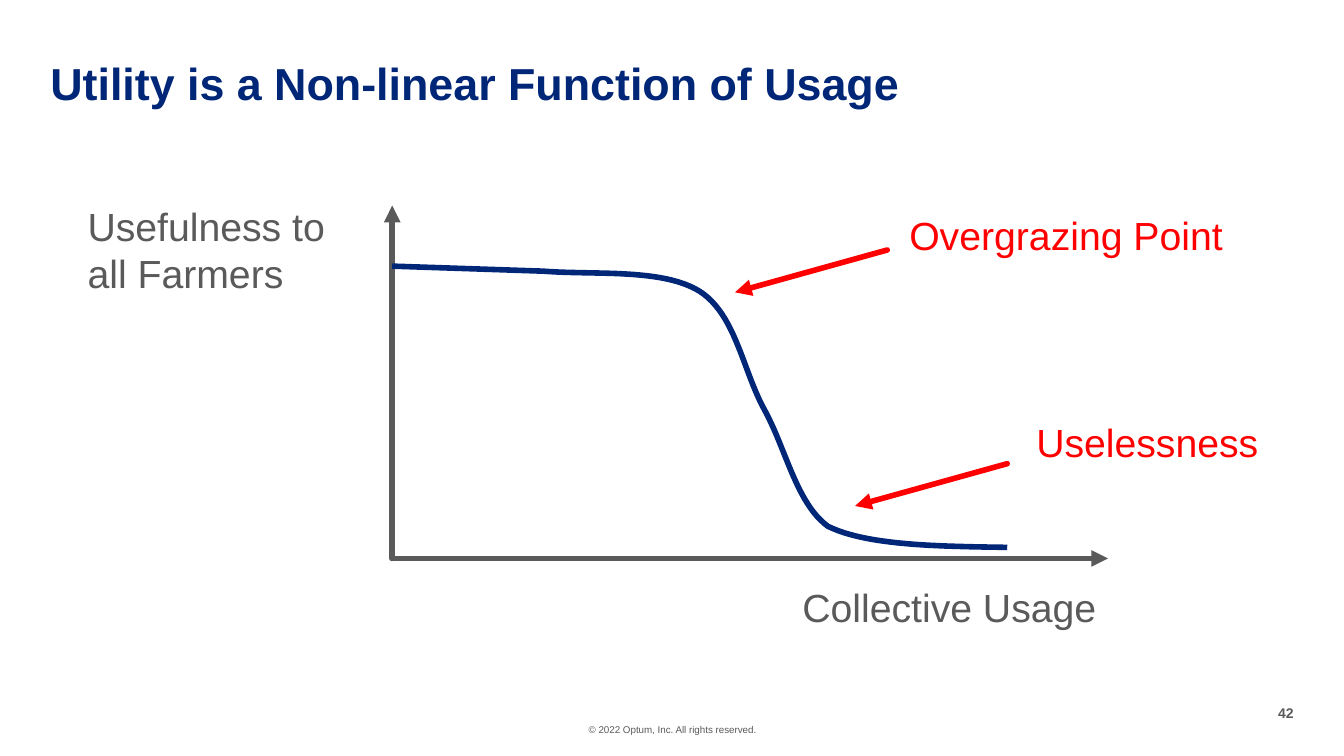
from dataclasses import dataclass

import lxml.etree
import pptx
import pptx.dml.color
import pptx.enum.shapes
import pptx.enum.text
import pptx.oxml.ns
import pptx.shapes.connector
import pptx.slide
import pptx.util

Inches = pptx.util.Inches
Align = pptx.enum.text.PP_ALIGN
Point = tuple[float, float]
qn = pptx.oxml.ns.qn


@dataclass(frozen=True)
class Theme:
    font: str = "Arial"
    navy: str = "002677"
    gray: str = "5A5A5A"
    red: str = "FF0000"
    title_size: float = 32
    label_size: float = 28
    number_size: float = 10
    copyright_size: float = 7
    stroke: float = 4


THEME = Theme()


@dataclass(frozen=True)
class Label:
    lines: tuple[str, ...]
    left: float
    top: float
    width: float
    height: float
    color: str = THEME.gray
    size: float = THEME.label_size
    bold: bool = False
    wrap: bool = False
    padded: bool = True
    align: Align = Align.LEFT
    spacing: float = 1.0


@dataclass(frozen=True)
class Arrow:
    start: Point
    end: Point
    color: str


@dataclass(frozen=True)
class Bend:
    leave: Point
    arrive: Point
    end: Point


LABELS = (
    Label(("© 2022 Optum, Inc. All rights reserved.",), 5.14, 7.18, 3.06, 0.12,
          size=THEME.copyright_size, wrap=True, padded=False, align=Align.CENTER),
    Label(("42",), 12.66, 6.99, 0.17, 0.17, size=THEME.number_size,
          bold=True, padded=False, align=Align.RIGHT),
    Label(("Utility is a Non-linear Function of Usage",), 0.5, 0.61, 10.5, 0.48,
          color=THEME.navy, size=THEME.title_size, bold=True, wrap=True,
          padded=False, spacing=0.9),
    Label(("Usefulness to", "all Farmers"), 0.77, 1.96, 2.58, 1.04),
    Label(("Collective Usage",), 7.86, 5.74, 3.15, 0.57),
    Label(("Overgrazing Point",), 8.92, 2.05, 3.35, 0.57, color=THEME.red),
    Label(("Uselessness",), 10.18, 4.1, 2.43, 0.57, color=THEME.red),
)

ORIGIN = (3.89, 5.54)
AXES = (
    Arrow(ORIGIN, (3.89, 2.04), THEME.gray),
    Arrow(ORIGIN, (10.99, 5.54), THEME.gray),
)
POINTERS = (
    Arrow((8.8, 2.48), (7.29, 2.9), THEME.red),
    Arrow((9.99, 4.6), (8.48, 5.02), THEME.red),
)

UTILITY_START = (3.89, 2.64)
PLATEAU_END = (5.39, 2.69)
UTILITY_BENDS = (
    Bend((5.9, 2.73), (6.57, 2.66), (6.94, 2.89)),
    Bend((7.3, 3.12), (7.37, 3.69), (7.59, 4.08)),
    Bend((7.8, 4.47), (7.9, 4.99), (8.21, 5.22)),
    Bend((8.59, 5.41), (9.29, 5.42), (9.99, 5.43)),
)
STEPS = 24


def rgb(color: str) -> pptx.dml.color.RGBColor:
    return pptx.dml.color.RGBColor.from_string(color)


def add_label(slide: pptx.slide.Slide, label: Label) -> None:
    box = slide.shapes.add_textbox(Inches(label.left), Inches(label.top),
                                   Inches(label.width), Inches(label.height))
    frame = box.text_frame
    frame.word_wrap = label.wrap
    frame.auto_size = pptx.enum.text.MSO_AUTO_SIZE.SHAPE_TO_FIT_TEXT
    if not label.padded:
        frame.margin_left = frame.margin_right = 0
        frame.margin_top = frame.margin_bottom = 0
    for index, line in enumerate(label.lines):
        paragraph = frame.add_paragraph() if index else frame.paragraphs[0]
        paragraph.alignment = label.align
        paragraph.line_spacing = label.spacing
        run = paragraph.add_run()
        run.text = line
        run.font.name = THEME.font
        run.font.size = pptx.util.Pt(label.size)
        run.font.bold = label.bold
        run.font.color.rgb = rgb(label.color)


def add_arrow(slide: pptx.slide.Slide, arrow: Arrow) -> None:
    connector: pptx.shapes.connector.Connector = slide.shapes.add_connector(
        pptx.enum.shapes.MSO_CONNECTOR.STRAIGHT,
        *map(Inches, arrow.start + arrow.end))
    connector.line.color.rgb = rgb(arrow.color)
    connector.line.width = pptx.util.Pt(THEME.stroke)
    properties = connector.element.spPr
    stroke = properties.find(qn("a:ln"))
    stroke.set("cap", "rnd")
    lxml.etree.SubElement(stroke, qn("a:round"))
    lxml.etree.SubElement(stroke, qn("a:tailEnd"), type="triangle")
    lxml.etree.SubElement(properties, qn("a:effectLst"))


def bend_points(start: Point, bend: Bend) -> list[Point]:
    points = []
    for step in range(1, STEPS + 1):
        t = step / STEPS
        weights = ((1 - t) ** 3, 3 * t * (1 - t) ** 2, 3 * t * t * (1 - t), t ** 3)
        controls = (start, bend.leave, bend.arrive, bend.end)
        points.append((sum(w * x for w, (x, _) in zip(weights, controls)),
                       sum(w * y for w, (_, y) in zip(weights, controls))))
    return points


def add_utility_curve(slide: pptx.slide.Slide) -> None:
    points = [PLATEAU_END]
    for bend in UTILITY_BENDS:
        points += bend_points(points[-1], bend)
    builder = slide.shapes.build_freeform(*map(Inches, UTILITY_START))
    builder.add_line_segments([(Inches(x), Inches(y)) for x, y in points], close=False)
    curve = builder.convert_to_shape()
    curve.fill.background()
    curve.line.color.rgb = rgb(THEME.navy)
    curve.line.width = pptx.util.Pt(THEME.stroke)
    curve.shadow.inherit = False


def main() -> None:
    deck = pptx.Presentation()
    deck.slide_width = Inches(13.33)
    deck.slide_height = Inches(7.5)
    slide = deck.slides.add_slide(deck.slide_layouts[6])
    for axis in AXES:
        add_arrow(slide, axis)
    add_utility_curve(slide)
    for pointer in POINTERS:
        add_arrow(slide, pointer)
    for label in LABELS:
        add_label(slide, label)
    deck.save("out.pptx")


if __name__ == "__main__":
    main()
